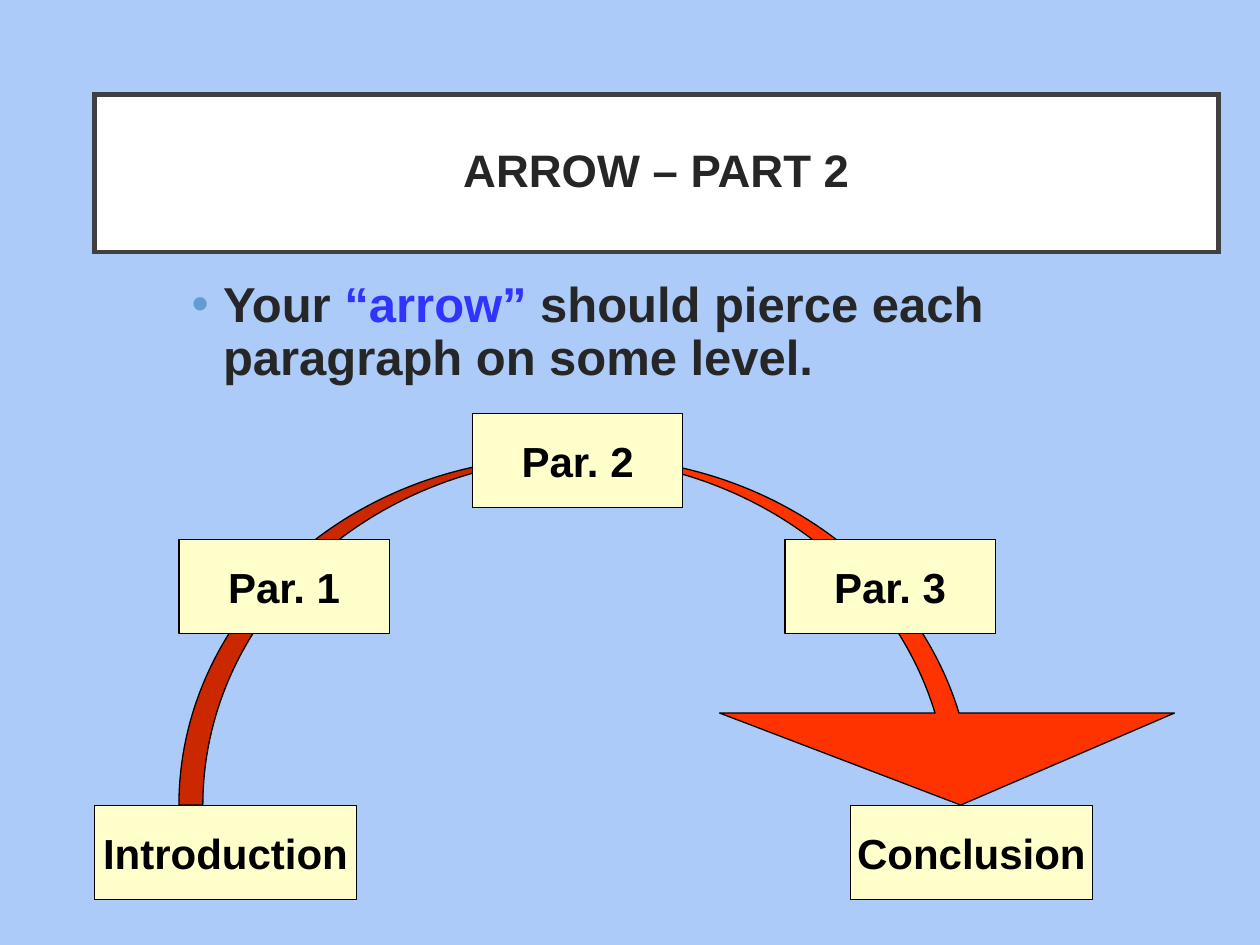
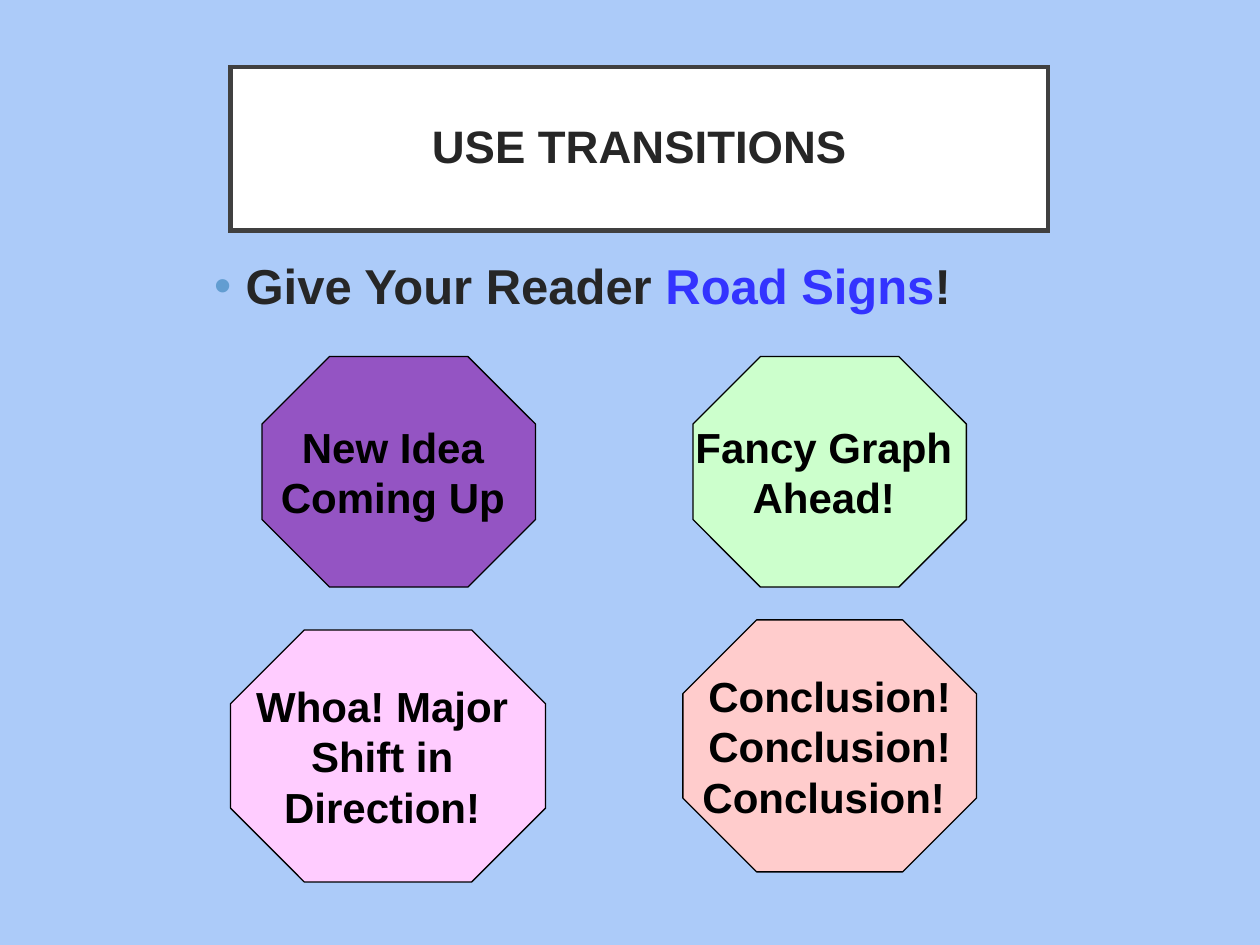
"""Two slides on essay writing: the arrow through the paragraphs, and transitions."""
from lxml import etree
from pptx import Presentation
from pptx.dml.color import RGBColor
from pptx.enum.shapes import MSO_SHAPE
from pptx.enum.text import MSO_ANCHOR, MSO_AUTO_SIZE, PP_ALIGN
from pptx.oxml.ns import qn
from pptx.util import Inches, Pt

RECT, OCTAGON = MSO_SHAPE.RECTANGLE, MSO_SHAPE.OCTAGON
CURVED_ARROW = MSO_SHAPE.CURVED_DOWN_ARROW
TOP, MIDDLE = MSO_ANCHOR.TOP, MSO_ANCHOR.MIDDLE
LEFT, CENTER = PP_ALIGN.LEFT, PP_ALIGN.CENTER
NO_AUTOFIT = MSO_AUTO_SIZE.NONE

FONT = "Arial"
SKY = RGBColor(0xAC, 0xCB, 0xF9)
WHITE = RGBColor(0xFF, 0xFF, 0xFF)
BLACK = RGBColor(0, 0, 0)
FRAME = RGBColor(0x40, 0x40, 0x40)
INK = RGBColor(0x26, 0x26, 0x26)
ACCENT = RGBColor(0x33, 0x33, 0xFF)
BULLET = RGBColor(0x62, 0x9D, 0xD1)
CREAM = RGBColor(0xFF, 0xFF, 0xCC)
RED = RGBColor(0xFF, 0x33, 0x00)
PURPLE = RGBColor(0x94, 0x54, 0xC3)
MINT = RGBColor(0xCC, 0xFF, 0xCC)
PINK = RGBColor(0xFF, 0xCC, 0xFF)
SALMON = RGBColor(0xFF, 0xCC, 0xCC)

ARROW_SLIDE = {
    "title": "ARROW – PART 2",
    "title_at": (0.75, 0.75, 8.92, 1.25),
    "body": [("Your ", INK), ("“arrow”", ACCENT),
             (" should pierce each paragraph on some level.", INK)],
    "body_at": (1.42, 2.17, 7.4, 0.94),
}
ARROW_AT = (1.42, 3.63, 8.01, 2.76)
SHAFT_WIDTH, HEAD_WIDTH, HEAD_LENGTH = 0.19, 3.61, 0.73
BOX_HEIGHT = 0.75
BOXES = [
    ("Introduction", 0.75, 6.39, 2.08),
    ("Par. 1", 1.42, 4.28, 1.67),
    ("Par. 2", 3.75, 3.28, 1.67),
    ("Par. 3", 6.23, 4.28, 1.67),
    ("Conclusion", 6.75, 6.39, 1.92),
]

SIGNS_SLIDE = {
    "title": "USE TRANSITIONS",
    "title_at": (1.83, 0.53, 6.49, 1.3),
    "body": [("Give Your Reader ", INK), ("Road Signs", ACCENT), ("!", INK)],
    "body_at": (1.6, 2.03, 6.72, 0.67),
}
SIGNS = [
    (["New Idea ", "Coming Up "], (2.08, 2.83, 2.17, 1.83), PURPLE),
    (["Fancy Graph ", "Ahead! "], (5.5, 2.83, 2.17, 1.83), MINT),
    (["Whoa! Major ", "Shift in ", "Direction! "], (1.83, 5, 2.5, 2), PINK),
    (["Conclusion!", "Conclusion!", "Conclusion! "], (5.42, 4.92, 2.33, 2), SALMON),
]


def write(sp, paragraphs, size=24, align=CENTER, anchor=MIDDLE, wrap=False,
          margins=(0.1, 0.05), spacing=None, bullet=None):
    """Write paragraphs, each a list of (text, colour) runs, into a shape."""
    tf = sp.text_frame
    tf.auto_size, tf.word_wrap, tf.vertical_anchor = NO_AUTOFIT, wrap, anchor
    tf.margin_left = tf.margin_right = Inches(margins[0])
    tf.margin_top = tf.margin_bottom = Inches(margins[1])
    for i, runs in enumerate(paragraphs):
        p = tf.add_paragraph() if i else tf.paragraphs[0]
        p.alignment, p.line_spacing, p.space_before = align, spacing, Pt(0)
        if bullet:
            pPr = p._p.get_or_add_pPr()
            pPr.set("marL", str(Inches(0.25)))
            pPr.set("indent", str(Inches(-0.25)))
            clr = etree.SubElement(pPr, qn("a:buClr"))
            etree.SubElement(clr, qn("a:srgbClr"), val=str(bullet))
            etree.SubElement(pPr, qn("a:buChar"), char="•")
        for text, color in runs:
            r = p.add_run()
            r.text = text
            r.font.name, r.font.size, r.font.bold = FONT, Pt(size), True
            r.font.color.rgb = color


def place(sp, at):
    """Move a placeholder to a left, top, width, height box in inches."""
    sp.left, sp.top, sp.width, sp.height = map(Inches, at)


def paint(sp, fill, line=BLACK, width=0.75):
    """Give a shape a solid fill and an outline."""
    sp.fill.solid()
    sp.fill.fore_color.rgb = fill
    sp.line.color.rgb = line
    sp.line.width = Pt(width)


def add_shape(slide, kind, at, fill):
    """Add a flat outlined shape."""
    sp = slide.shapes.add_shape(kind, *map(Inches, at))
    sp.shadow.inherit = False
    paint(sp, fill)
    return sp


def add_slide(prs, content):
    """Add a slide with its framed title and bulleted body."""
    slide = prs.slides.add_slide(prs.slide_layouts[1])
    title, body = slide.placeholders
    place(title, content["title_at"])
    paint(title, WHITE, FRAME, 2.5)
    etree.SubElement(title._element.spPr.find(qn("a:ln")), qn("a:miter"), lim="800000")
    write(title, [[(content["title"], INK)]], size=26, wrap=True,
          margins=(0.2, 0.2), spacing=0.9)
    place(body, content["body_at"])
    write(body, [content["body"]], size=28, align=LEFT, anchor=TOP, wrap=True,
          spacing=0.9, bullet=BULLET)
    return slide


def build_arrow(prs):
    """Build the slide whose arrow runs through every paragraph box."""
    slide = add_slide(prs, ARROW_SLIDE)
    arrow = add_shape(slide, CURVED_ARROW, ARROW_AT, RED)
    for i, length in enumerate((SHAFT_WIDTH, HEAD_WIDTH, HEAD_LENGTH)):
        arrow.adjustments[i] = length / ARROW_AT[3]
    for text, left, top, width in BOXES:
        sp = add_shape(slide, RECT, (left, top, width, BOX_HEIGHT), CREAM)
        write(sp, [[(text, BLACK)]])


def build_signs(prs):
    """Build the slide of octagonal road signs."""
    slide = add_slide(prs, SIGNS_SLIDE)
    for lines, at, fill in SIGNS:
        sp = add_shape(slide, OCTAGON, at, fill)
        write(sp, [[(line, BLACK)] for line in lines])


def main():
    """Build and save the presentation."""
    prs = Presentation()
    prs.slide_width, prs.slide_height = Inches(10), Inches(7.5)
    background = prs.slide_master.background.fill
    background.solid()
    background.fore_color.rgb = SKY
    build_arrow(prs)
    build_signs(prs)
    prs.save("out.pptx")


if __name__ == "__main__":
    main()
